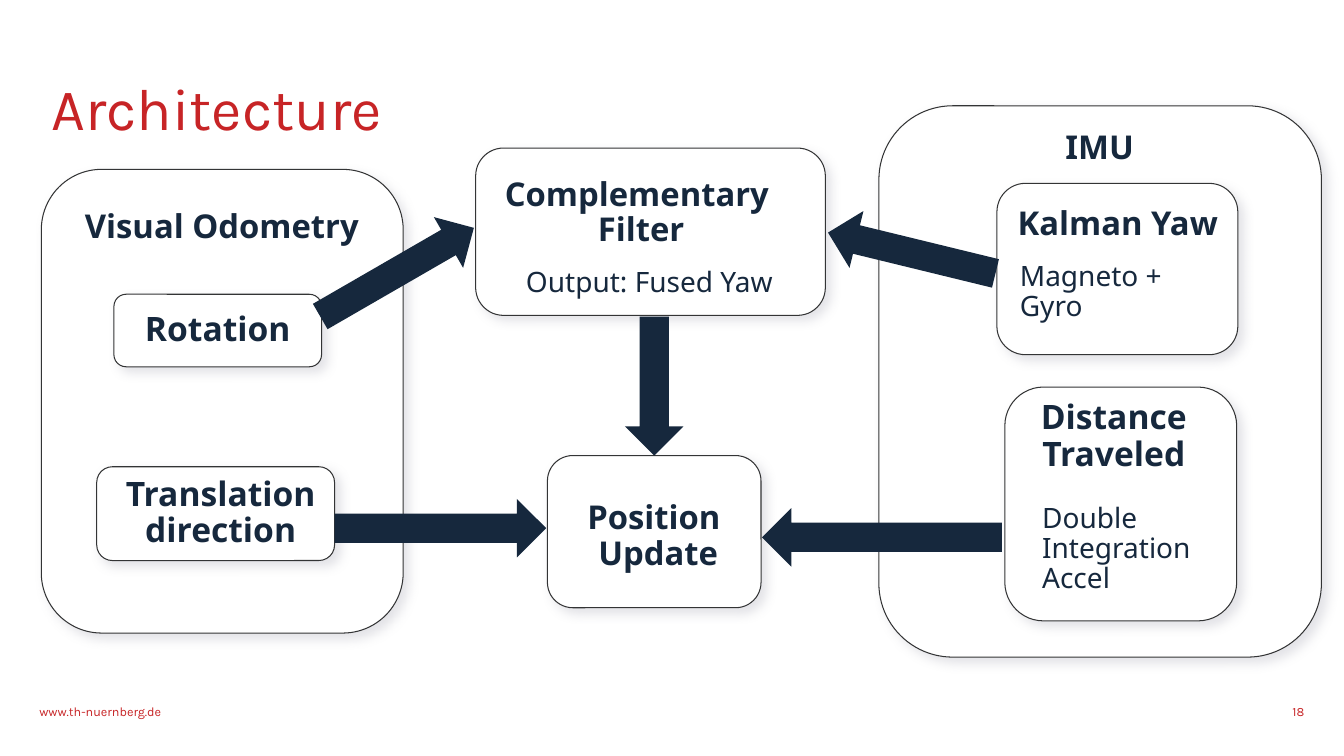
"""Build the architecture slide with its sensor panels, cards, arrows and labels."""
from dataclasses import dataclass

from lxml.etree import SubElement
from pptx import Presentation
from pptx.dml.color import RGBColor
from pptx.enum.shapes import MSO_SHAPE
from pptx.enum.text import MSO_ANCHOR, PP_ALIGN
from pptx.oxml.ns import qn
from pptx.shapes.autoshape import Shape
from pptx.slide import Slide
from pptx.util import Pt

NAVY = "16283D"
RED = "C72426"
WHITE = "FFFFFF"
EDGE = "333435"
SHADE = "AFAFBB"
ARROW_H = 41.8


@dataclass
class Box:
    left: float
    top: float
    width: float
    height: float


@dataclass
class Arrow:
    box: Box
    turn: float = 0


@dataclass
class Label:
    text: str
    box: Box
    size: float
    bold: bool = False
    align: PP_ALIGN = PP_ALIGN.LEFT
    anchor: MSO_ANCHOR = MSO_ANCHOR.MIDDLE
    font: str = "Noto Sans"
    color: str = NAVY
    inset: bool = True
    space: float | Pt = 0.9


def head(text: str, box: Box, size: float = 23.4) -> Label:
    return Label(text, box, size, True, PP_ALIGN.CENTER)


def note(text: str, box: Box) -> Label:
    return Label(text, box, 20)


def frame(text: str, box: Box, size: float, **more) -> Label:
    return Label(text, box, size, font="Karla", color=RED, inset=False, **more)


CARDS = [
    Box(29.5, 121, 258.5, 331.2),
    Box(627.8, 75.6, 316.1, 393.8),
    Box(712.1, 131, 172.1, 122.4),
    Box(69.1, 333.4, 169.9, 67),
    Box(717.8, 276.5, 165.6, 167),
    Box(81.4, 210.2, 148.3, 51.8),
    Box(339.8, 105.8, 249.8, 119.5),
    Box(391, 325.4, 152.6, 108.7),
]

ARROWS = [
    Arrow(Box(220.3, 173.5, 126.7, ARROW_H), 330),
    Arrow(Box(589.7, 159.8, 123.1, ARROW_H), 193.7),
    Arrow(Box(417.6, 254.9, 99.4, ARROW_H), 90),
    Arrow(Box(239, 356.4, 151.2, ARROW_H)),
    Arrow(Box(544.3, 362.9, 171.4, ARROW_H), 180),
]

LABELS = [
    frame("Architecture", Box(36.7, 59.8, 903.6, 41.8), 42,
          anchor=MSO_ANCHOR.BOTTOM, space=Pt(43)),
    frame("www.th-nuernberg.de", Box(28.1, 502.6, 708.5, 10.8), 9,
          anchor=MSO_ANCHOR.TOP, space=1.0),
    frame("18", Box(877.7, 502.6, 54, 10.8), 9, align=PP_ALIGN.RIGHT,
          anchor=MSO_ANCHOR.BOTTOM, space=1.0),
    head("Visual Odometry", Box(52.6, 142.6, 211.7, 41)),
    head("IMU", Box(679.7, 85.7, 211.7, 41)),
    head("Kalman Yaw", Box(692.6, 140.4, 211.7, 41)),
    note("Magneto +\nGyro", Box(721.4, 169.9, 146.9, 77.8)),
    head("Distance\nTraveled", Box(702, 272.2, 187.2, 79.9), 24),
    note("Double Integration Accel", Box(737.3, 353.5, 152.6, 77.8)),
    head("Translation direction", Box(51.8, 346.3, 211.7, 41), 24),
    head("Rotation", Box(81.4, 220.3, 148.3, 31.7), 24),
    head("Complementary \nFilter", Box(345.6, 114.5, 224.6, 75.6)),
    note("Output: Fused Yaw", Box(368.6, 174.2, 209.5, 56.9)),
    head("Position \nUpdate", Box(357.8, 339.8, 224.6, 87.1)),
]


def tint(code: str) -> RGBColor:
    return RGBColor.from_string(code)


def place(box: Box) -> tuple[Pt, Pt, Pt, Pt]:
    return Pt(box.left), Pt(box.top), Pt(box.width), Pt(box.height)


def add_form(slide: Slide, kind: MSO_SHAPE, box: Box, fill: str) -> Shape:
    form = slide.shapes.add_shape(kind, *place(box))
    form.shadow.inherit = False
    form.fill.solid()
    form.fill.fore_color.rgb = tint(fill)
    return form


def add_shade(form: Shape) -> None:
    effects = form.element.spPr.find(qn("a:effectLst"))
    shade = SubElement(effects, qn("a:outerShdw"), blurRad=str(Pt(8)),
                       dist=str(Pt(5)), dir=str(45 * 60000), algn="tl",
                       rotWithShape="0")
    color = SubElement(shade, qn("a:srgbClr"), val=SHADE)
    SubElement(color, qn("a:alpha"), val="35000")


def add_card(slide: Slide, box: Box) -> None:
    card = add_form(slide, MSO_SHAPE.ROUNDED_RECTANGLE, box, WHITE)
    card.line.color.rgb = tint(EDGE)
    card.line.width = Pt(0.75)
    add_shade(card)


def add_arrow(slide: Slide, arrow: Arrow) -> None:
    form = add_form(slide, MSO_SHAPE.RIGHT_ARROW, arrow.box, NAVY)
    form.line.fill.background()
    form.rotation = arrow.turn


def add_label(slide: Slide, label: Label) -> None:
    frame = slide.shapes.add_textbox(*place(label.box)).text_frame
    frame.word_wrap = True
    frame.vertical_anchor = label.anchor
    if not label.inset:
        frame.margin_left = frame.margin_right = Pt(0)
        frame.margin_top = frame.margin_bottom = Pt(0)
    frame.text = label.text
    for para in frame.paragraphs:
        para.alignment = label.align
        para.line_spacing = label.space
        for run in para.runs:
            run.font.name = label.font
            run.font.size = Pt(label.size)
            run.font.bold = label.bold
            run.font.color.rgb = tint(label.color)


def main() -> None:
    deck = Presentation()
    deck.slide_width, deck.slide_height = Pt(960), Pt(540)
    slide = deck.slides.add_slide(deck.slide_layouts[6])
    for card in CARDS:
        add_card(slide, card)
    for arrow in ARROWS:
        add_arrow(slide, arrow)
    for label in LABELS:
        add_label(slide, label)
    deck.save("out.pptx")


if __name__ == "__main__":
    main()
